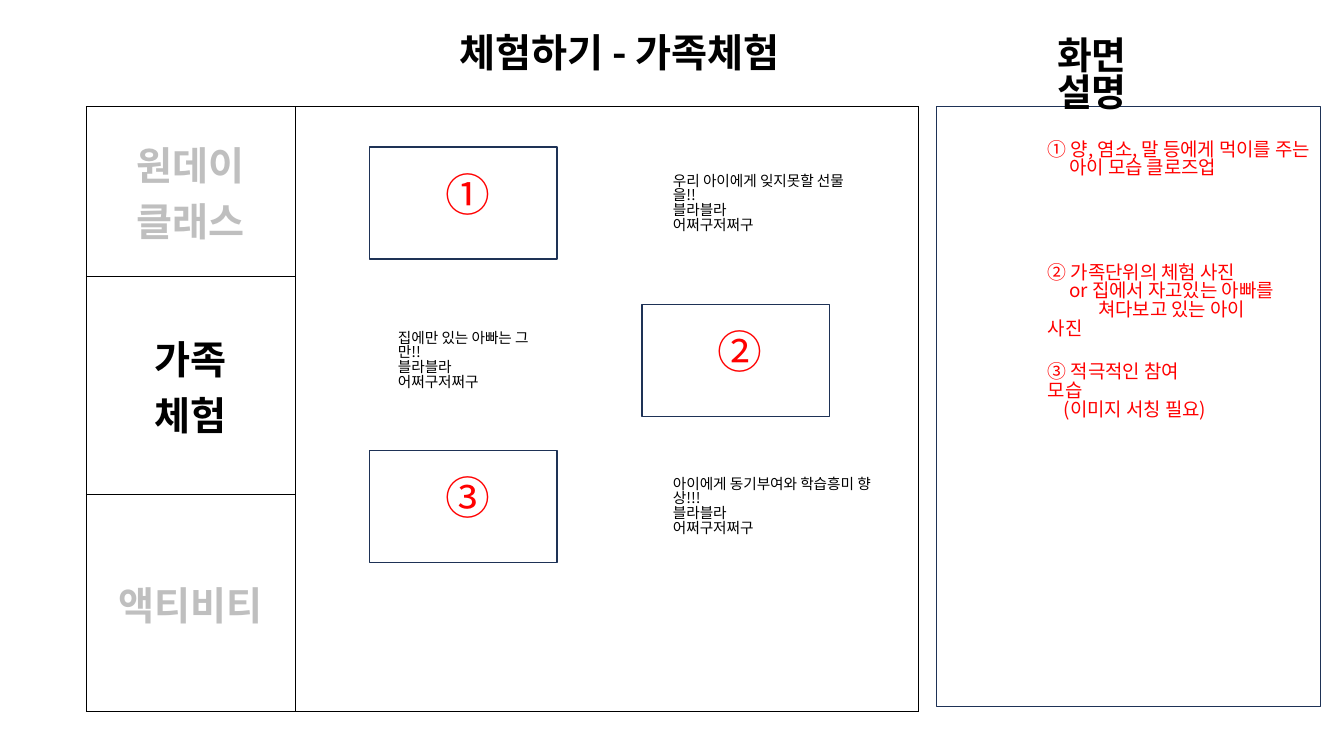
from dataclasses import dataclass

import pptx
import pptx.dml.color
import pptx.enum.shapes
import pptx.enum.text
import pptx.oxml
import pptx.oxml.ns
import pptx.util
from pptx.util import Cm, Pt

RGBColor = pptx.dml.color.RGBColor
BLACK = RGBColor(0x00, 0x00, 0x00)
WHITE = RGBColor(0xFF, 0xFF, 0xFF)
GREY = RGBColor(0xBF, 0xBF, 0xBF)
RED = RGBColor(0xFF, 0x00, 0x00)
NAVY = RGBColor(0x1E, 0x32, 0x56)

LEFT = pptx.enum.text.PP_ALIGN.LEFT
CENTER = pptx.enum.text.PP_ALIGN.CENTER
FONT = "Noto Sans CJK KR"
HEADING_FONT = "Noto Sans CJK JP"
LINE_SPACING = 0.83
FRAME_WIDTH, FRAME_HEIGHT = 4.72, 2.82
NUMBER_WIDTH, NUMBER_HEIGHT = 1.42, 1.63
NOTE_LEFT = 26.16


@dataclass(frozen=True)
class TextStyle:
    size: float
    color: RGBColor
    bold: bool = False
    font: str = FONT
    align: pptx.enum.text.PP_ALIGN = LEFT


@dataclass(frozen=True)
class Line:
    text: str
    indent: float = 0


@dataclass(frozen=True)
class Experience:
    number: str
    frame_left: float
    top: float
    caption_left: float
    caption_width: float
    headline: str


@dataclass(frozen=True)
class Note:
    top: float
    width: float
    lines: tuple[Line, ...]


@dataclass(frozen=True)
class MenuItem:
    height: float
    color: RGBColor
    lines: tuple[Line, ...]


TITLE_STYLE = TextStyle(28, BLACK, True)
HEADING_STYLE = TextStyle(27, BLACK, True, HEADING_FONT)
CAPTION_STYLE = TextStyle(10.5, BLACK)
NOTE_STYLE = TextStyle(13.5, RED)
NUMBER_STYLE = TextStyle(32, RED, align=CENTER)

MENU = (
    MenuItem(4.27, GREY, (Line("원데이"), Line("클래스"))),
    MenuItem(5.51, BLACK, (Line("가족"), Line("체험"))),
    MenuItem(5.46, GREY, (Line("액티비티"),)),
)
EXPERIENCES = (
    Experience("①", 9.32, 3.71, 16.71, 5.28, "우리 아이에게 잊지못할 선물을!!"),
    Experience("②", 16.18, 7.67, 9.78, 4.32, "집에만 있는 아빠는 그만!!"),
    Experience("③", 9.32, 11.35, 16.71, 6.05, "아이에게 동기부여와 학습흥미 향상!!!"),
)
NOTES = (
    Note(3.43, 7.11, (Line("① 양, 염소, 말 등에게 먹이를 주는"),
                      Line("아이 모습 클로즈업", 0.54))),
    Note(6.53, 6.4, (Line("② 가족단위의 체험 사진"),
                     Line("or 집에서 자고있는 아빠를", 0.54),
                     Line("쳐다보고 있는 아이 사진", 1.27))),
    Note(9.04, 4.7, (Line("③ 적극적인 참여 모습"),
                     Line("(이미지 서칭 필요)", 0.4))),
)


def write_lines(frame, lines: tuple[Line, ...], style: TextStyle, spacing: float) -> None:
    for index, line in enumerate(lines):
        paragraph = frame.add_paragraph() if index else frame.paragraphs[0]
        paragraph.alignment = style.align
        paragraph.line_spacing = spacing
        if line.indent:
            paragraph._p.get_or_add_pPr().set("indent", str(Cm(line.indent)))
        run = paragraph.add_run()
        run.text = line.text
        run.font.size = Pt(style.size)
        run.font.bold = style.bold
        run.font.name = style.font
        run.font.color.rgb = style.color
        east_asian = pptx.oxml.parse_xml(
            f'<a:ea {pptx.oxml.ns.nsdecls("a")} typeface="{style.font}"/>')
        run._r.get_or_add_rPr().find(pptx.oxml.ns.qn("a:latin")).addnext(east_asian)


def fill_text_shape(shape, lines: tuple[Line, ...], style: TextStyle) -> None:
    frame = shape.text_frame
    frame.word_wrap = True
    frame.auto_size = pptx.enum.text.MSO_AUTO_SIZE.NONE
    frame.vertical_anchor = pptx.enum.text.MSO_ANCHOR.TOP
    write_lines(frame, lines, style, LINE_SPACING)


def add_text(slide, left: float, top: float, width: float, height: float,
             lines: tuple[Line, ...], style: TextStyle) -> None:
    shape = slide.shapes.add_textbox(Cm(left), Cm(top), Cm(width), Cm(height))
    fill_text_shape(shape, lines, style)


def add_frame(slide, left: float, top: float, width: float, height: float) -> None:
    shape = slide.shapes.add_shape(
        pptx.enum.shapes.MSO_SHAPE.RECTANGLE, Cm(left), Cm(top), Cm(width), Cm(height))
    shape.shadow.inherit = False
    shape.fill.background()
    shape.line.color.rgb = NAVY
    shape.line.width = Pt(1)


def format_cell(cell) -> None:
    properties = cell._tc.get_or_add_tcPr()
    for side in ("lnL", "lnR", "lnT", "lnB"):
        properties.append(pptx.oxml.parse_xml(
            f'<a:{side} {pptx.oxml.ns.nsdecls("a")} w="{Pt(1)}"><a:solidFill>'
            f'<a:srgbClr val="{BLACK}"/></a:solidFill></a:{side}>'))
    cell.fill.solid()
    cell.fill.fore_color.rgb = WHITE


def add_menu(slide) -> None:
    widths = (5.26, 15.7)
    height = sum(item.height for item in MENU)
    table = slide.shapes.add_table(
        len(MENU), len(widths), Cm(2.18), Cm(2.69), Cm(sum(widths)), Cm(height)).table
    table.first_row = False
    table.horz_banding = False
    for column, width in zip(table.columns, widths):
        column.width = Cm(width)
    for cell in table.iter_cells():
        format_cell(cell)
    for index, item in enumerate(MENU):
        table.rows[index].height = Cm(item.height)
        cell = table.cell(index, 0)
        cell.vertical_anchor = pptx.enum.text.MSO_ANCHOR.MIDDLE
        write_lines(cell.text_frame, item.lines,
                    TextStyle(28, item.color, True, align=CENTER), 1.0)
    table.cell(0, 1).merge(table.cell(len(MENU) - 1, 1))


def add_experience(slide, experience: Experience) -> None:
    add_frame(slide, experience.frame_left, experience.top, FRAME_WIDTH, FRAME_HEIGHT)
    caption = (Line(experience.headline), Line("블라블라"), Line("어쩌구저쩌구"))
    add_text(slide, experience.caption_left, experience.top + 0.56,
             experience.caption_width, 1.6, caption, CAPTION_STYLE)
    add_text(slide, experience.frame_left + (FRAME_WIDTH - NUMBER_WIDTH) / 2,
             experience.top + (FRAME_HEIGHT - NUMBER_HEIGHT) / 2,
             NUMBER_WIDTH, NUMBER_HEIGHT, (Line(experience.number),), NUMBER_STYLE)


def place_title(slide) -> None:
    title = slide.shapes.title
    title.left, title.top = Cm(11.33), Cm(0.79)
    title.width, title.height = Cm(8.59), Cm(1.45)
    fill_text_shape(title, (Line("체험하기 - 가족체험"),), TITLE_STYLE)
    slide.shapes._spTree.append(title._element)


def main() -> None:
    presentation = pptx.Presentation()
    presentation.slide_width = Cm(33.87)
    presentation.slide_height = Cm(19.05)
    slide = presentation.slides.add_slide(presentation.slide_layouts[5])
    add_frame(slide, 23.6, 2.69, 9.68, 15.11)
    add_text(slide, 26.39, 0.86, 4.17, 1.42, (Line("화면 설명"),), HEADING_STYLE)
    add_menu(slide)
    for experience in EXPERIENCES:
        add_experience(slide, experience)
    for note in NOTES:
        add_text(slide, NOTE_LEFT, note.top, note.width, 0.5 * len(note.lines) + 0.42,
                 note.lines, NOTE_STYLE)
    place_title(slide)
    presentation.save("out.pptx")


if __name__ == "__main__":
    main()
